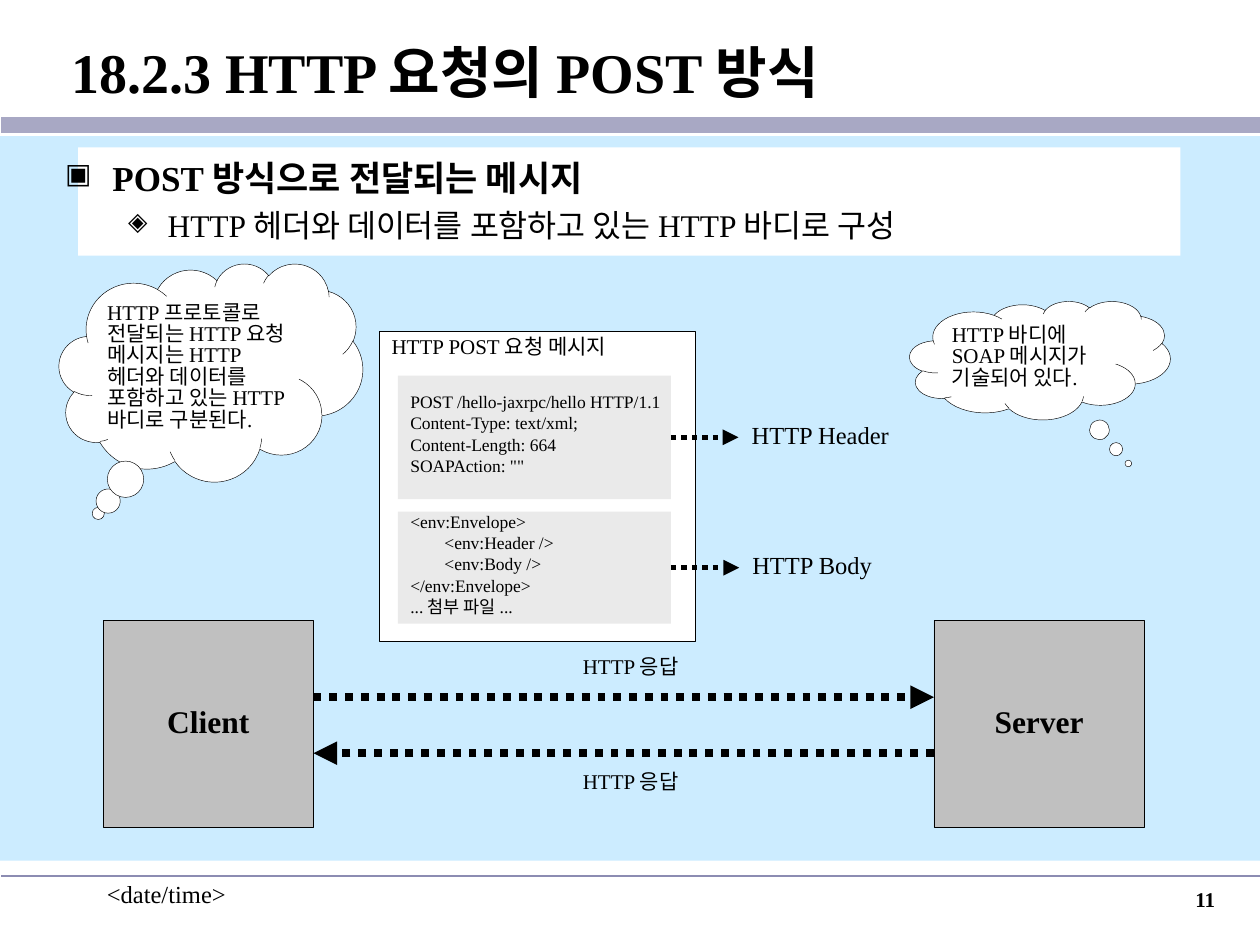
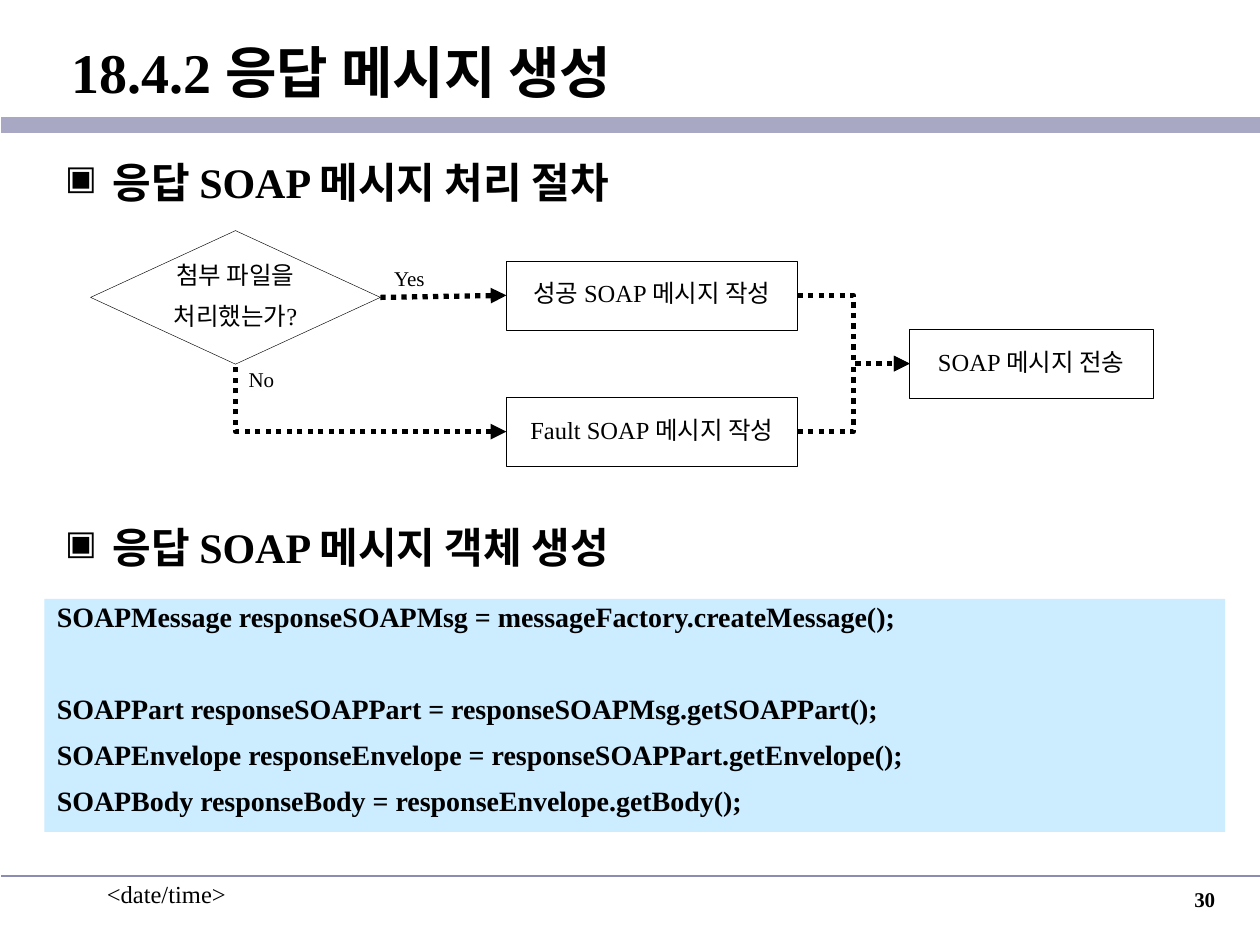
import pptx
import pptx.dml.color
import pptx.enum.dml
import pptx.enum.shapes
import pptx.enum.text
import pptx.oxml.ns
import pptx.util
from lxml import etree

Pt = pptx.util.Pt
Shape = pptx.enum.shapes.MSO_SHAPE
Connector = pptx.enum.shapes.MSO_CONNECTOR
Align = pptx.enum.text.PP_ALIGN
Anchor = pptx.enum.text.MSO_ANCHOR
qn = pptx.oxml.ns.qn

FONT = "Times New Roman"
BLACK, WHITE = "000000", "FFFFFF"
SKY, BAND, RULE = "CCECFF", "A8A8C4", "8C8CB2"
PANEL, NODE = "EAEAEA", "C0C0C0"
TOP, LEFT, BOTTOM, RIGHT = range(4)

CENTERED = {"alignment": Align.CENTER, "line_spacing": 0.85}
TIGHT = {"line_spacing": 0.85}
DENSE = {"line_spacing": 0.5}
MIDDLE = {"vertical_anchor": Anchor.MIDDLE, "word_wrap": False}
LOOSE = {"word_wrap": False}
WRAPPED = {"word_wrap": True}
CLOUD_FRAME = {
    "vertical_anchor": Anchor.MIDDLE,
    "word_wrap": True,
    "margin_left": Pt(3.6),
    "margin_right": 0,
}
TITLE_FRAME = {
    "vertical_anchor": Anchor.MIDDLE,
    "word_wrap": True,
    "margin_left": Pt(39.9),
    "auto_size": pptx.enum.text.MSO_AUTO_SIZE.NONE,
}


def apply_format(target, values):
    for name, value in values.items():
        setattr(target, name, value)


def paint(color_format, color):
    color_format.rgb = pptx.dml.color.RGBColor.from_string(color)


def points(*lengths):
    return [Pt(length) for length in lengths]


def style_paragraph(para, size, bold=False, layout=None):
    apply_format(para, layout or {})
    apply_format(para.font, {"name": FONT, "size": Pt(size), "bold": bold})
    paint(para.font.color, BLACK)


def write(shape, lines, size, bold=False, frame=None, layout=None, gap=0):
    text_frame = shape.text_frame
    apply_format(text_frame, frame or {})
    for index, line in enumerate(lines):
        para = text_frame.add_paragraph() if index else text_frame.paragraphs[0]
        para.add_run().text = line
        style_paragraph(para, size, bold, layout)
        if index:
            para.space_before = Pt(gap)
    return text_frame


def add_box(page, kind, place, fill=None, outlined=False):
    box = page.shapes.add_shape(kind, *points(*place))
    box.shadow.inherit = False
    if fill:
        box.fill.solid()
        paint(box.fill.fore_color, fill)
    else:
        box.fill.background()
    if outlined:
        box.line.width = Pt(0.25)
        paint(box.line.color, BLACK)
    else:
        box.line.fill.background()
    return box


def add_label(page, place, text, size, bold=False, frame=LOOSE, layout=CENTERED):
    label = page.shapes.add_textbox(*points(*place))
    write(label, [text], size, bold, frame, layout)
    return label


def add_node(page, kind, place, lines, size, bold=False, fill=None):
    node = add_box(page, kind, place, fill, outlined=True)
    write(node, lines, size, bold, MIDDLE, CENTERED, gap=8.8)
    return node


def add_cloud(page, place, pointer, text):
    cloud = add_box(page, Shape.CLOUD_CALLOUT, place, WHITE, outlined=True)
    for index, offset in enumerate(pointer):
        cloud.adjustments[index] = offset
    write(cloud, [text], 12, False, CLOUD_FRAME, {"alignment": Align.LEFT, **TIGHT})


def add_code(page, place, lines, size, fill, frame, layout, gap, bold=False):
    panel = add_box(page, Shape.RECTANGLE, place, fill)
    layout = {"alignment": Align.LEFT, **layout}
    return write(panel, lines, size, bold, frame, layout, gap)


def add_bullets(page, place, items):
    box = page.shapes.add_textbox(*points(*place))
    box.text_frame.word_wrap = True
    for index, (text, mark, size, bold, indent, hanging) in enumerate(items):
        para = box.text_frame.add_paragraph() if index else box.text_frame.paragraphs[0]
        props = para._p.get_or_add_pPr()
        props.set("marL", str(Pt(indent)))
        props.set("indent", str(-Pt(hanging)))
        color = etree.SubElement(props, qn("a:buClr"))
        etree.SubElement(color, qn("a:srgbClr"), val=BLACK)
        etree.SubElement(props, qn("a:buSzPct"), val="80000")
        etree.SubElement(props, qn("a:buChar"), char=mark)
        para.add_run().text = text
        style_paragraph(para, size, bold)
        if index:
            para.space_before = Pt(4.5)


def add_line(page, ends, color, width, kind=Connector.STRAIGHT):
    line = page.shapes.add_connector(kind, *points(*ends))
    etree.SubElement(line._element.spPr, qn("a:effectLst"))
    line.line.width = Pt(width)
    paint(line.line.color, color)
    return line


def add_arrow(page, ends, width=3, kind=Connector.STRAIGHT, tip="tailEnd"):
    arrow = add_line(page, ends, BLACK, width, kind)
    arrow.line.dash_style = pptx.enum.dml.MSO_LINE.ROUND_DOT
    etree.SubElement(arrow.line._get_or_add_ln(), qn("a:" + tip), type="triangle")
    return arrow


def side_point(shape, side):
    across = {LEFT: 0, RIGHT: 1}.get(side, 0.5)
    down = {TOP: 0, BOTTOM: 1}.get(side, 0.5)
    x = shape.left + shape.width * across
    y = shape.top + shape.height * down
    return x / Pt(1), y / Pt(1)


def join(page, start, start_side, end, end_side, **options):
    ends = side_point(start, start_side) + side_point(end, end_side)
    arrow = add_arrow(page, ends, **options)
    arrow.begin_connect(start, start_side)
    arrow.end_connect(end, end_side)
    return arrow


def add_page(deck, title, number):
    page = deck.slides.add_slide(deck.slide_layouts[5])
    heading = page.shapes.title
    places = points(0.7, 8, 719.3, 64.8)
    apply_format(heading, dict(zip(("left", "top", "width", "height"), places)))
    write(heading, [title], 32, True, TITLE_FRAME, {"alignment": Align.LEFT})
    add_line(page, (0.7, 71.4, 720, 71.4), BAND, 9.25)
    add_line(page, (0.7, 500.4, 720, 500.4), RULE, 1)
    add_label(page, (54, 499, 150, 36), "<date/time>", 14, frame=WRAPPED, layout={})
    add_label(page, (551.5, 503.3, 150, 36), number, 12, True, WRAPPED,
              {"alignment": Align.RIGHT})
    return page


def build_post_request(deck):
    page = add_page(deck, "18.2.3 HTTP 요청의 POST 방식", "11")
    add_box(page, Shape.RECTANGLE, (0, 77.8, 720, 414), SKY)
    add_box(page, Shape.RECTANGLE, (44.6, 84.2, 630, 61.9), WHITE)
    add_bullets(page, (30.2, 85.7, 659.5, 59.8), [
        ("POST 방식으로 전달되는 메시지", "▣", 20, True, 27, 27),
        ("HTTP 헤더와 데이터를 포함하고 있는 HTTP 바디로 구성", "◈", 18, False, 58.5, 22.5),
    ])

    message = add_box(page, Shape.RECTANGLE, (216.7, 189.4, 180.7, 177.1), WHITE, True)
    write(message, ["HTTP POST 요청 메시지"], 12, False,
          {"vertical_anchor": Anchor.TOP, **LOOSE}, {"alignment": Align.LEFT, **TIGHT})
    parts = [
        ("HTTP Header", 214.6, 70.6, (422, 93.6),
         ["POST /hello-jaxrpc/hello HTTP/1.1", "Content-Type: text/xml;",
          "Content-Length: 664", 'SOAPAction: ""']),
        ("HTTP Body", 292.4, 64, (422.4, 83.5),
         ["<env:Envelope>", "\t<env:Header />", "\t<env:Body />",
          "</env:Envelope>", "... 첨부 파일 ..."]),
    ]
    for name, top, height, (label_left, label_width), lines in parts:
        place = (227.4, top, 156, height)
        frame = add_code(page, place, lines, 10, PANEL, MIDDLE, DENSE, 6.2)
        for para in frame.paragraphs:
            if para.text.startswith("\t"):
                tabs = etree.Element(qn("a:tabLst"))
                etree.SubElement(tabs, qn("a:tab"), pos=str(Pt(19.5)), algn="l")
                para._p.pPr.find(qn("a:defRPr")).addprevious(tabs)
        panel = page.shapes[-1]
        label_top = top + height / 2 - 10.8
        label = add_label(page, (label_left, label_top, label_width, 21.6), name, 14)
        join(page, panel, RIGHT, label, LEFT)

    for name, left in (("Client", 59), ("Server", 533.7)):
        add_node(page, Shape.RECTANGLE, (left, 354.4, 120.2, 118.6), [name], 18, True, NODE)
    add_arrow(page, (179.2, 398.4, 533.7, 398.4), 4.5)
    add_arrow(page, (533.7, 430.4, 179.2, 430.4), 4.5)
    for top in (372.2, 437.8):
        add_label(page, (323.3, top, 74.2, 19.4), "HTTP 응답", 12)

    add_cloud(page, (519.8, 172.1, 149, 67.7), (0.339, 0.871),
              "HTTP 바디에 SOAP 메시지가 기술되어 있다.")
    add_cloud(page, (33.8, 150.5, 173.5, 124.6), (-0.371, 0.647),
              "HTTP 프로토콜로 전달되는 HTTP 요청 메시지는 HTTP 헤더와 데이터를 "
              "포함하고 있는 HTTP 바디로 구분된다.")


def build_response_message(deck):
    page = add_page(deck, "18.4.2 응답 메시지 생성", "30")
    sections = (("응답 SOAP 메시지 처리 절차", 85.7), ("응답 SOAP 메시지 객체 생성", 294.2))
    for text, top in sections:
        add_bullets(page, (30.2, top, 659.5, 42), [(text, "▣", 24, True, 27, 27)])

    decision = add_node(page, Shape.DIAMOND, (51.8, 131.8, 165.6, 76.3),
                        ["첨부 파일을", "처리했는가?"], 14)
    success, fault, send = [
        add_node(page, Shape.RECTANGLE, (left, top, width, 39.6), [text], 14)
        for text, left, top, width in (
            ("성공 SOAP 메시지 작성", 289.4, 149, 166.3),
            ("Fault SOAP 메시지 작성", 289.4, 226.9, 166.3),
            ("SOAP 메시지 전송", 519.8, 188, 139),
        )
    ]
    join(page, decision, RIGHT, success, LEFT)
    no_branch = join(page, fault, LEFT, decision, BOTTOM, kind=Connector.ELBOW, tip="headEnd")
    no_branch._element.spPr.find(qn("a:prstGeom")).set("prst", "bentConnector2")
    for source in (success, fault):
        join(page, source, RIGHT, send, LEFT, kind=Connector.ELBOW)
    add_label(page, (134.6, 208.1, 29.5, 19.4), "No", 12)
    add_label(page, (217.4, 150.5, 33.1, 19.4), "Yes", 12)

    frame = add_code(page, (25.4, 342.2, 674.7, 133.2), [
        "SOAPMessage responseSOAPMsg = messageFactory.createMessage();",
        "SOAPPart responseSOAPPart = responseSOAPMsg.getSOAPPart();",
        "SOAPEnvelope responseEnvelope = responseSOAPPart.getEnvelope();",
        "SOAPBody responseBody = responseEnvelope.getBody();",
    ], 16, SKY, {"vertical_anchor": Anchor.TOP, **LOOSE}, TIGHT, 10, True)
    frame.paragraphs[1].space_before = Pt(36.3)


def main():
    deck = pptx.Presentation()
    deck.slide_width, deck.slide_height = points(720, 540)
    build_post_request(deck)
    build_response_message(deck)
    deck.save("out.pptx")


if __name__ == "__main__":
    main()
